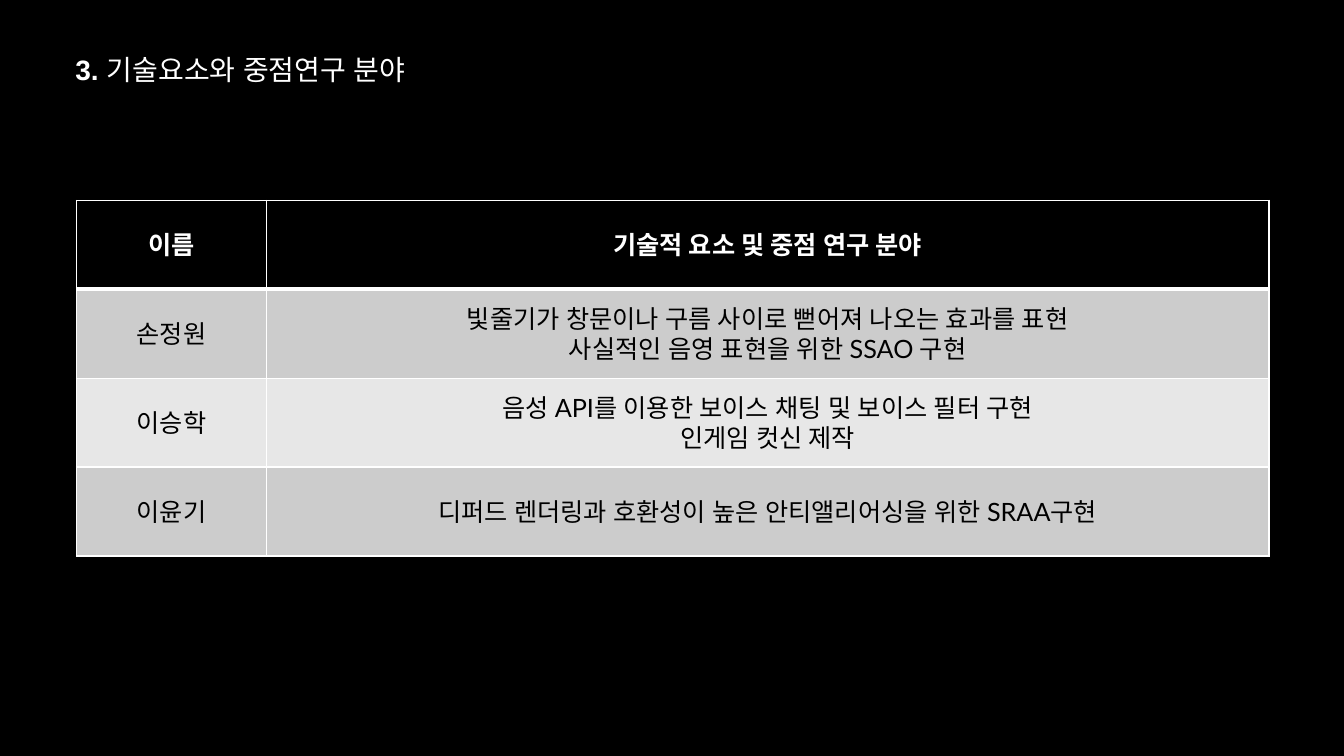
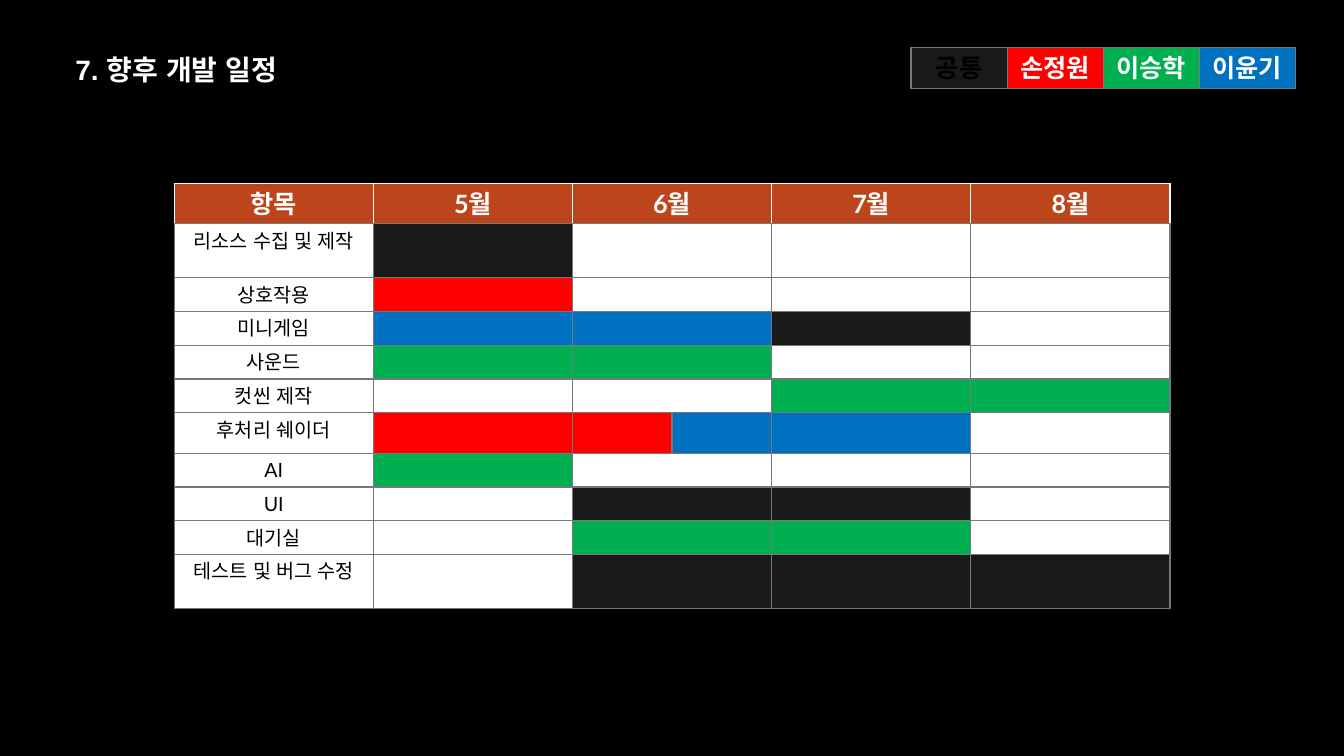
from dataclasses import dataclass

from pptx import Presentation
from pptx.dml.color import RGBColor as Rgb
from pptx.enum.text import MSO_ANCHOR as Anchor, PP_ALIGN as Align
from pptx.oxml.ns import qn
from pptx.util import Cm, Pt
from lxml.etree import SubElement as Sub, Element


@dataclass(frozen=True)
class Theme:
    black: str = "000000"
    white: str = "FFFFFF"
    dark: str = "CCCCCC"
    light: str = "E7E7E7"
    rust: str = "BC451B"
    rule: str = "77777E"
    coal: str = "19191A"
    red: str = "FF0000"
    green: str = "00B050"
    blue: str = "0070C0"
    head: str = "Arial"
    body: str = "Lato"
    title: int = 20
    text: int = 18
    small: int = 14


T = Theme()
TEAM = {"K": T.coal, "R": T.red, "G": T.green, "B": T.blue, ".": T.white}

FIELDS = [
    ("손정원", ["빛줄기가 창문이나 구름 사이로 뻗어져 나오는 효과를 표현",
             "사실적인 음영 표현을 위한 SSAO 구현"]),
    ("이승학", ["음성 API를 이용한 보이스 채팅 및 보이스 필터 구현",
             "인게임 컷신 제작"]),
    ("이윤기", ["디퍼드 렌더링과 호환성이 높은 안티앨리어싱을 위한 SRAA구현"]),
]

# Task, row height in cm, owners in May, June (two halves), July and August
PLAN = [
    ("리소스 수집 및 제작", 1.36, "K...."),
    ("상호작용", 0.85, "R...."),
    ("미니게임", 0.85, "BBBK."),
    ("사운드", 0.85, "GGG.."),
    ("컷씬 제작", 0.85, "...GG"),
    ("후처리 쉐이더", 1.02, "RRBB."),
    ("AI", 0.85, "G...."),
    ("UI", 0.85, ".KKK."),
    ("대기실", 0.85, ".GGG."),
    ("테스트 및 버그 수정", 1.36, ".KKKK"),
]

LEGEND = [("공통", "K", T.black), ("손정원", "R", T.white),
          ("이승학", "G", T.white), ("이윤기", "B", T.white)]


def add_run(para, text, font, size, color, bold=False):
    run = para.add_run()
    run.text = text
    face = run.font
    face.name, face.size, face.bold = font, Pt(size), bold
    face.color.rgb = Rgb.from_string(color)
    face._element.find(qn("a:latin")).addnext(
        Element(qn("a:ea"), typeface=font))


def set_edges(cell, color, **sides):
    """Draw the four cell borders; sides gives (colour, points) exceptions."""
    props = cell._tc.get_or_add_tcPr()
    for spot, side in enumerate("LRTB"):
        tint, width = sides.get(side, (color, 1))
        line = Element(qn(f"a:ln{side}"), w=str(Pt(width)))
        fill = Sub(line, qn("a:solidFill"))
        Sub(fill, qn("a:srgbClr"), val=tint)
        props.insert(spot, line)


def fill_cell(cell, fill, lines=(), size=T.text, color=T.black, bold=False,
              anchor=Anchor.TOP):
    cell.fill.solid()
    cell.fill.fore_color.rgb = Rgb.from_string(fill)
    cell.vertical_anchor = anchor
    frame = cell.text_frame
    for num, text in enumerate(lines):
        para = frame.add_paragraph() if num else frame.paragraphs[0]
        para.alignment = Align.CENTER
        add_run(para, text, T.body, size, color, bold)
    if not lines:
        Sub(frame.paragraphs[0]._p, qn("a:endParaRPr"), sz=str(T.small * 50))


def add_grid(slide, left, top, cols, rows):
    shape = slide.shapes.add_table(len(rows), len(cols), Cm(left), Cm(top),
                                   Cm(sum(cols)), Cm(sum(rows)))
    grid = shape.table
    grid.first_row = grid.horz_banding = False
    for col, width in zip(grid.columns, cols):
        col.width = Cm(width)
    for row, height in zip(grid.rows, rows):
        row.height = Cm(height)
    return grid


def add_page(deck, *runs):
    """Add a black slide with a title made of (text, font, bold) runs."""
    slide = deck.slides.add_slide(deck.slide_layouts[6])
    back = slide.background.fill
    back.solid()
    back.fore_color.rgb = Rgb.from_string(T.black)
    box = slide.shapes.add_textbox(Cm(1.65), Cm(1.19), Cm(10.5), Cm(1.12))
    box.text_frame.word_wrap = True
    for text, font, bold in runs:
        add_run(box.text_frame.paragraphs[0], text, font, T.title, T.white,
                bold)
    return slide


def add_fields(slide, left, top):
    grid = add_grid(slide, left, top, [4.78, 25.27], [2.24] * 4)
    thick = (T.white, 3)
    for col, text in enumerate(["이름", "기술적 요소 및 중점 연구 분야"]):
        cell = grid.cell(0, col)
        fill_cell(cell, T.black, [text], color=T.white, bold=True,
                  anchor=Anchor.MIDDLE)
        set_edges(cell, T.white, B=thick)
    for row, (name, work) in enumerate(FIELDS, 1):
        for col, lines in enumerate([[name], work]):
            cell = grid.cell(row, col)
            fill_cell(cell, T.dark if row % 2 else T.light, lines,
                      anchor=Anchor.MIDDLE)
            set_edges(cell, T.white, **({"T": thick} if row == 1 else {}))


def add_plan(slide, left, top):
    month = 5.02
    cols = [month, month, month / 2, month / 2, month, month]
    grid = add_grid(slide, left, top, cols,
                    [1.02] + [height for _, height, _ in PLAN])
    for col, text in enumerate(["항목", "5월", "6월", "", "7월", "8월"]):
        cell = grid.cell(0, col)
        cell.margin_bottom = 0
        fill_cell(cell, T.rust, [text] if text else [], color=T.white,
                  bold=True)
        set_edges(cell, T.white, B=(T.rule, 1))
    grid.cell(0, 2).merge(grid.cell(0, 3))
    for row, (task, _, marks) in enumerate(PLAN, 1):
        for col, mark in enumerate("." + marks):
            cell = grid.cell(row, col)
            cell.margin_bottom = 0
            fill_cell(cell, TEAM[mark], [] if col else [task], T.small)
            set_edges(cell, T.rule)
        if marks[1] == marks[2]:
            grid.cell(row, 2).merge(grid.cell(row, 3))


def add_legend(slide, left, top):
    grid = add_grid(slide, left, top, [2.42] * len(LEGEND), [1.04])
    for col, (name, mark, color) in enumerate(LEGEND):
        cell = grid.cell(0, col)
        cell.margin_bottom = 0
        fill_cell(cell, TEAM[mark], [name], color=color, bold=True)
        set_edges(cell, T.rule)


def main():
    deck = Presentation()
    deck.slide_width, deck.slide_height = Cm(33.87), Cm(19.05)
    page = add_page(deck, ("3. ", T.head, True),
                    ("기술요소와 중점연구 분야", T.body, False))
    add_fields(page, 1.93, 5.05)
    page = add_page(deck, ("7. 향후 개발 일정", T.head, True))
    add_plan(page, 4.39, 4.62)
    add_legend(page, 22.96, 1.19)
    deck.save("out.pptx")


if __name__ == "__main__":
    main()
